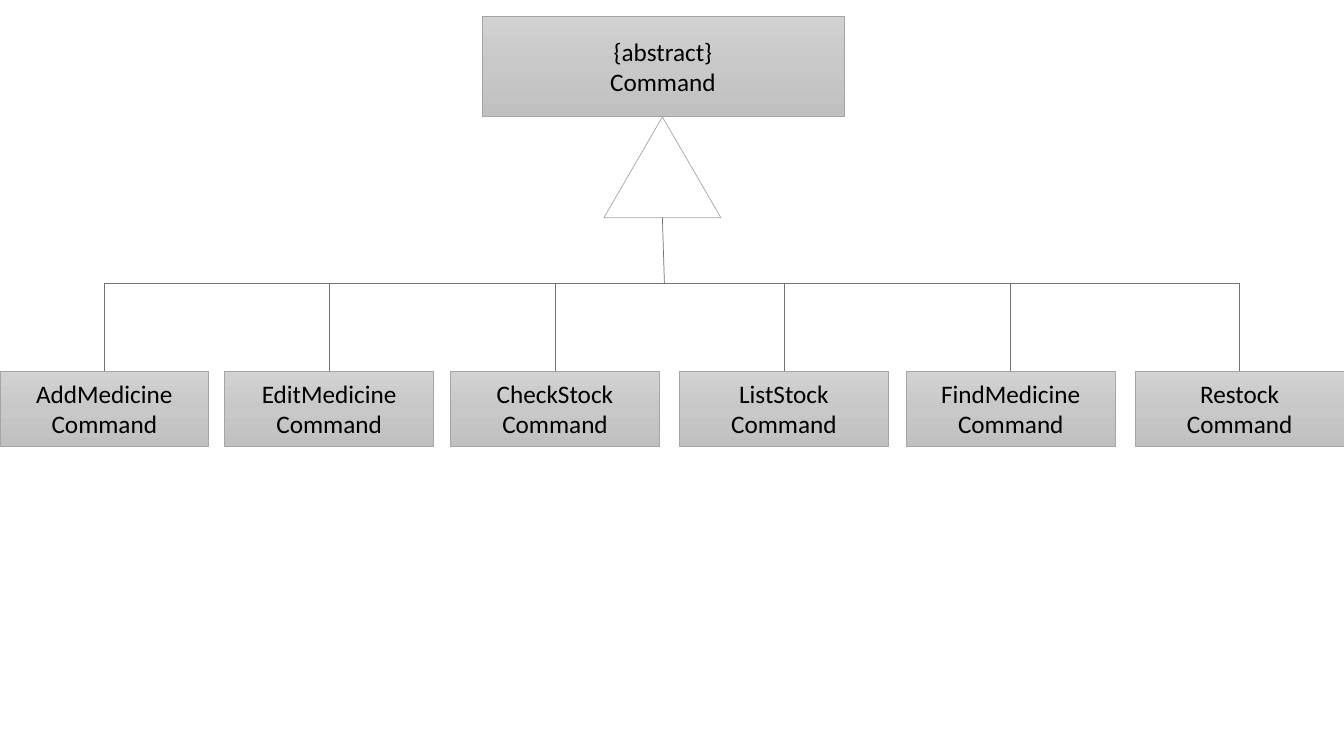
from copy import deepcopy
from dataclasses import dataclass

from lxml import etree
from pptx import Presentation
from pptx.dml.color import RGBColor
from pptx.enum.shapes import MSO_CONNECTOR, MSO_SHAPE
from pptx.enum.text import MSO_ANCHOR, PP_ALIGN
from pptx.oxml.ns import qn
from pptx.shapes.autoshape import Shape
from pptx.shapes.connector import Connector
from pptx.util import Inches, Pt

RECT = MSO_SHAPE.RECTANGLE
TRIANGLE = MSO_SHAPE.ISOSCELES_TRIANGLE
STRAIGHT = MSO_CONNECTOR.STRAIGHT
ELBOW = MSO_CONNECTOR.ELBOW
MIDDLE = MSO_ANCHOR.MIDDLE
CENTER = PP_ALIGN.CENTER

BLACK = RGBColor(0x00, 0x00, 0x00)
EDGE = RGBColor(0xA5, 0xA5, 0xA5)
WIRE = RGBColor(0x76, 0x71, 0x71)
SHADES = (
    RGBColor(0xD2, 0xD2, 0xD2),
    RGBColor(0xC8, 0xC8, 0xC8),
    RGBColor(0xC0, 0xC0, 0xC0),
)
FONT = {"name": "Calibri", "size": Pt(18)}
FRAME = {"word_wrap": True, "vertical_anchor": MIDDLE}

HUB_X, HUB_Y = 6.59, 2.81
ROW_Y, ROW_W, ROW_H = 3.68, 2.07, 0.75


@dataclass
class Box:
    name: str
    left: float
    top: float = ROW_Y
    width: float = ROW_W
    height: float = ROW_H


ROOT = Box("{abstract}", 4.78, 0.16, 3.59, 1)
KINDS = [
    Box("AddMedicine", 0),
    Box("EditMedicine", 2.23),
    Box("CheckStock", 4.47),
    Box("ListStock", 6.74),
    Box("FindMedicine", 8.99),
    Box("Restock", 11.26),
]


def apply(target: object, values: dict) -> None:
    for key, value in values.items():
        setattr(target, key, value)


def shade(shape: Shape) -> None:
    fill = shape.fill
    fill.gradient()
    fill.gradient_angle = 270
    first = shape._element.spPr.find(".//" + qn("a:gs"))
    first.addnext(deepcopy(first))
    for stop, color, place in zip(fill.gradient_stops, SHADES, (0, 0.5, 1)):
        stop.color.rgb = color
        stop.position = place


def add_form(slide, kind: MSO_SHAPE, left: float, top: float,
             width: float, height: float) -> Shape:
    shape = slide.shapes.add_shape(
        kind, Inches(left), Inches(top), Inches(width), Inches(height))
    shape.shadow.inherit = False
    shape.line.color.rgb = EDGE
    shape.line.width = Pt(0.5)
    return shape


def add_box(slide, box: Box) -> None:
    shape = add_form(slide, RECT, box.left, box.top, box.width, box.height)
    shade(shape)
    frame = shape.text_frame
    apply(frame, FRAME)
    frame.text = f"{box.name}\nCommand"
    for para in frame.paragraphs:
        para.alignment = CENTER
        apply(para.font, FONT)
        para.font.color.rgb = BLACK


def add_wire(slide, kind: MSO_CONNECTOR, x1: float, y1: float,
             x2: float, y2: float) -> Connector:
    wire = slide.shapes.add_connector(
        kind, Inches(x1), Inches(y1), Inches(x2), Inches(y2))
    wire.line.color.rgb = WIRE
    wire.line.width = Pt(0.5)
    etree.SubElement(wire._element.spPr, qn("a:effectLst"))
    return wire


def add_branch(slide, box: Box) -> None:
    wire = add_wire(slide, ELBOW, HUB_X, HUB_Y,
                    box.left + box.width / 2, box.top)
    geom = wire._element.spPr.find(qn("a:prstGeom"))
    bends = geom.find(qn("a:avLst"))
    if bends is None:
        bends = etree.SubElement(geom, qn("a:avLst"))
    etree.SubElement(bends, qn("a:gd"), name="adj1", fmla="val 100000")


def main() -> None:
    deck = Presentation()
    deck.slide_width = Inches(13.33)
    deck.slide_height = Inches(7.5)
    slide = deck.slides.add_slide(deck.slide_layouts[6])

    add_box(slide, ROOT)
    add_form(slide, TRIANGLE, 5.99, 1.16, 1.16, 1).fill.background()
    add_wire(slide, STRAIGHT, 6.57, 2.16, HUB_X, HUB_Y)
    for box in KINDS:
        add_box(slide, box)
    for box in KINDS:
        add_branch(slide, box)

    deck.save("out.pptx")


if __name__ == "__main__":
    main()
